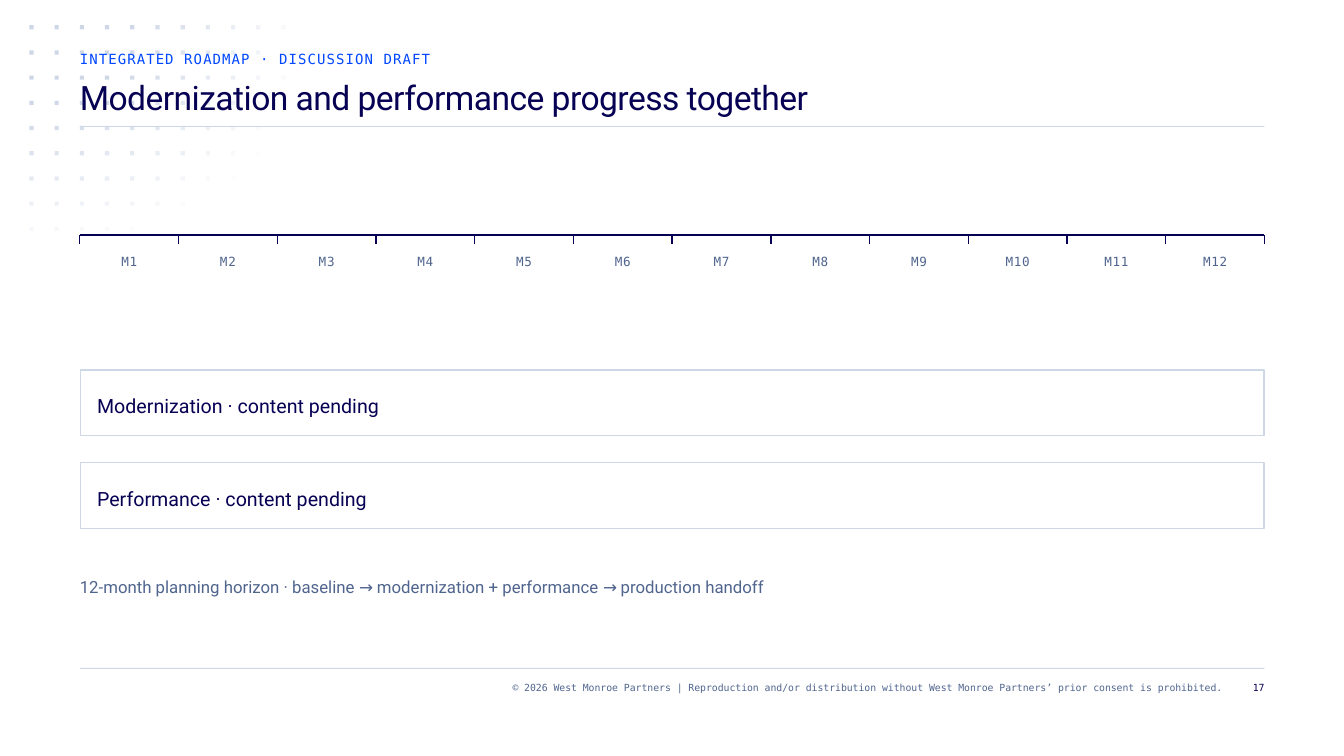
from math import hypot

from lxml import etree
from pptx import Presentation
from pptx.dml.color import RGBColor
from pptx.enum.shapes import MSO_CONNECTOR, MSO_SHAPE
from pptx.enum.text import MSO_ANCHOR, MSO_AUTO_SIZE, PP_ALIGN
from pptx.oxml.ns import qn
from pptx.util import Inches, Pt

RECTANGLE = MSO_SHAPE.RECTANGLE
STRAIGHT = MSO_CONNECTOR.STRAIGHT
TOP = MSO_ANCHOR.TOP
NO_AUTOFIT = MSO_AUTO_SIZE.NONE
LEFT, CENTER, RIGHT = PP_ALIGN.LEFT, PP_ALIGN.CENTER, PP_ALIGN.RIGHT

COLORS = {
    "navy": "070154",
    "blue": "0047FF",
    "slate": "50658E",
    "rule": "CED7E6",
    "white": "FFFFFF",
}
SANS, MONO = "Roboto", "DejaVu Sans Mono"

# Grid units: twelve to the inch
MARGIN, CONTENT_WIDTH = 9.5, 141
MONTHS = 12
MONTH_WIDTH = CONTENT_WIDTH / MONTHS
AXIS_TOP = 28
CARD_TOP, CARD_PITCH = 44.04, 11.05
DOT_COLUMNS, DOT_ROWS, DOT_PITCH = 11, 9, 3


def grid(units):
    return Inches(units / 12)


def rgb(name):
    return RGBColor.from_string(COLORS[name])


def write(shape, text, font, size, color, leading, align=LEFT, spacing=0):
    """Set one formatted paragraph; leading and letter spacing are in points."""
    frame = shape.text_frame
    frame.text = text
    frame.word_wrap = True
    frame.auto_size = NO_AUTOFIT
    frame.vertical_anchor = TOP
    frame.margin_left = frame.margin_top = 0
    frame.margin_right = frame.margin_bottom = 0
    paragraph = frame.paragraphs[0]
    paragraph.alignment = align
    paragraph.line_spacing = Pt(leading)
    paragraph.space_before = Pt(0)
    run = paragraph.runs[0]
    run.font.name = font
    run.font.size = Pt(size)
    run.font.color.rgb = rgb(color)
    if spacing:
        run.font._element.set("spc", str(round(spacing * 100)))


def add_text(slide, left, top, width, height, *content, **style):
    box = slide.shapes.add_textbox(
        grid(left), grid(top), grid(width), grid(height))
    write(box, *content, **style)


def add_rectangle(slide, left, top, width, height, fill, opacity=100):
    shape = slide.shapes.add_shape(
        RECTANGLE, grid(left), grid(top), grid(width), grid(height))
    shape.shadow.inherit = False
    shape.fill.solid()
    shape.fill.fore_color.rgb = rgb(fill)
    shape.line.fill.background()
    if opacity < 100:
        color = shape.element.spPr.find(qn("a:solidFill"))[0]
        etree.SubElement(color, qn("a:alpha"), val=str(round(opacity * 1000)))
    return shape


def add_line(slide, x1, y1, x2, y2):
    line = slide.shapes.add_connector(
        STRAIGHT, grid(x1), grid(y1), grid(x2), grid(y2))
    line.line.color.rgb = rgb("navy")
    line.line.width = Pt(1)
    etree.SubElement(line.element.spPr, qn("a:effectLst"))


def add_dot_field(slide):
    """Draw corner dots that fade with elliptical distance from the first."""
    for column in range(DOT_COLUMNS):
        for row in range(DOT_ROWS):
            opacity = min(100, 152.5 - hypot(13.8 * column, 16.8 * row))
            if opacity > 1.5:
                add_rectangle(slide, 3.5 + column * DOT_PITCH,
                              3 + row * DOT_PITCH, 0.5, 0.5, "rule", opacity)


def add_title(slide, text):
    title = slide.shapes.title
    title.left, title.top = grid(MARGIN), grid(9)
    title.width, title.height = grid(CONTENT_WIDTH), grid(6)
    write(title, text, SANS, 24, "navy", 30, spacing=-0.4)
    slide.shapes.element.append(title.element)  # bring in front of the dots


def add_timeline(slide):
    add_line(slide, MARGIN, AXIS_TOP, MARGIN + CONTENT_WIDTH, AXIS_TOP)
    for month in range(MONTHS + 1):
        x = MARGIN + month * MONTH_WIDTH
        add_line(slide, x, AXIS_TOP, x, AXIS_TOP + 1)
        if month < MONTHS:
            add_text(slide, x, AXIS_TOP + 2, MONTH_WIDTH, 2, f"M{month + 1}",
                     MONO, 9, "slate", 12, align=CENTER, spacing=0.5)


def add_card(slide, top, text):
    card = add_rectangle(slide, 9.6, top, 140.85, 7.8, "white")
    card.line.color.rgb = rgb("rule")
    card.line.width = Pt(1)
    write(card, text, SANS, 14, "navy", 21)
    card.text_frame.margin_left = grid(1.95)
    card.text_frame.margin_top = grid(2.15)


def main():
    presentation = Presentation()
    presentation.slide_width = Inches(13.33)
    presentation.slide_height = Inches(7.5)
    slide = presentation.slides.add_slide(presentation.slide_layouts[5])

    add_dot_field(slide)
    for rule_top in (15, 79.5):
        add_rectangle(slide, MARGIN, rule_top, CONTENT_WIDTH, 0.12, "rule")

    add_text(slide, MARGIN, 6, CONTENT_WIDTH, 2,
             "INTEGRATED ROADMAP · DISCUSSION DRAFT",
             MONO, 10, "blue", 12, spacing=0.8)
    add_title(slide, "Modernization and performance progress together")
    add_timeline(slide)
    for index, workstream in enumerate(("Modernization", "Performance")):
        add_card(slide, CARD_TOP + index * CARD_PITCH,
                 f"{workstream} · content pending")
    add_text(slide, MARGIN, 68, CONTENT_WIDTH, 8,
             "12-month planning horizon · baseline → modernization + "
             "performance → production handoff", SANS, 12, "slate", 18)

    add_text(slide, 28.5, 81, 117, 3,
             "© 2026 West Monroe Partners | Reproduction and/or distribution "
             "without West Monroe Partners’ prior consent is prohibited.",
             MONO, 7, "slate", 9, align=RIGHT)
    add_text(slide, 146.5, 81, 4, 3, "17", MONO, 7, "navy", 9, align=RIGHT)
    presentation.save("out.pptx")


if __name__ == "__main__":
    main()
